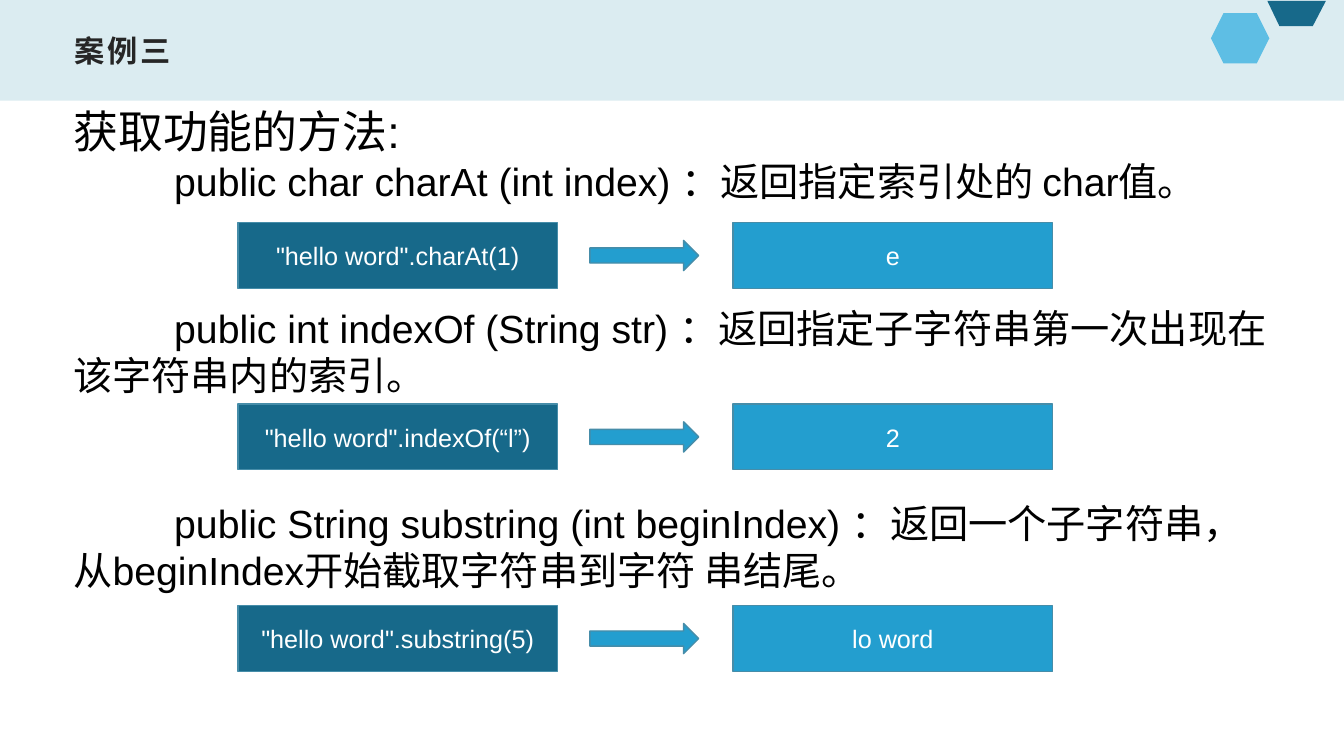
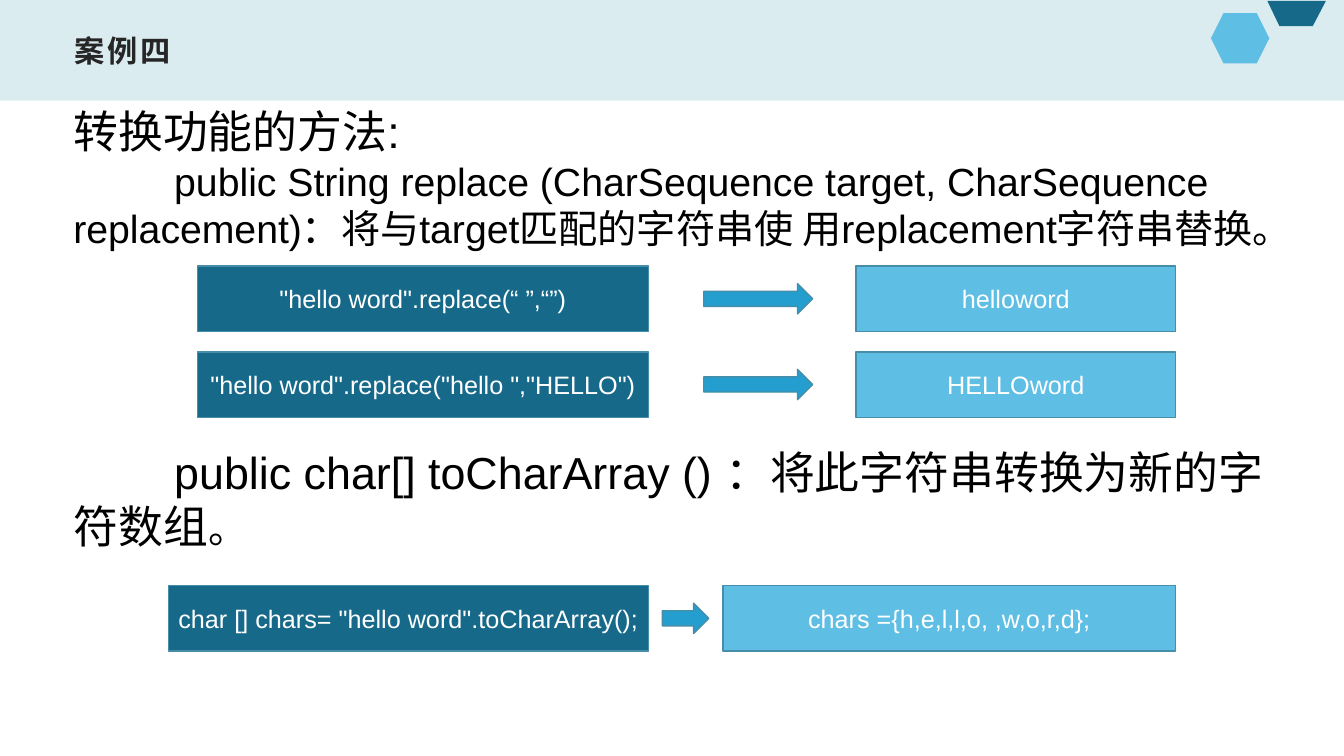
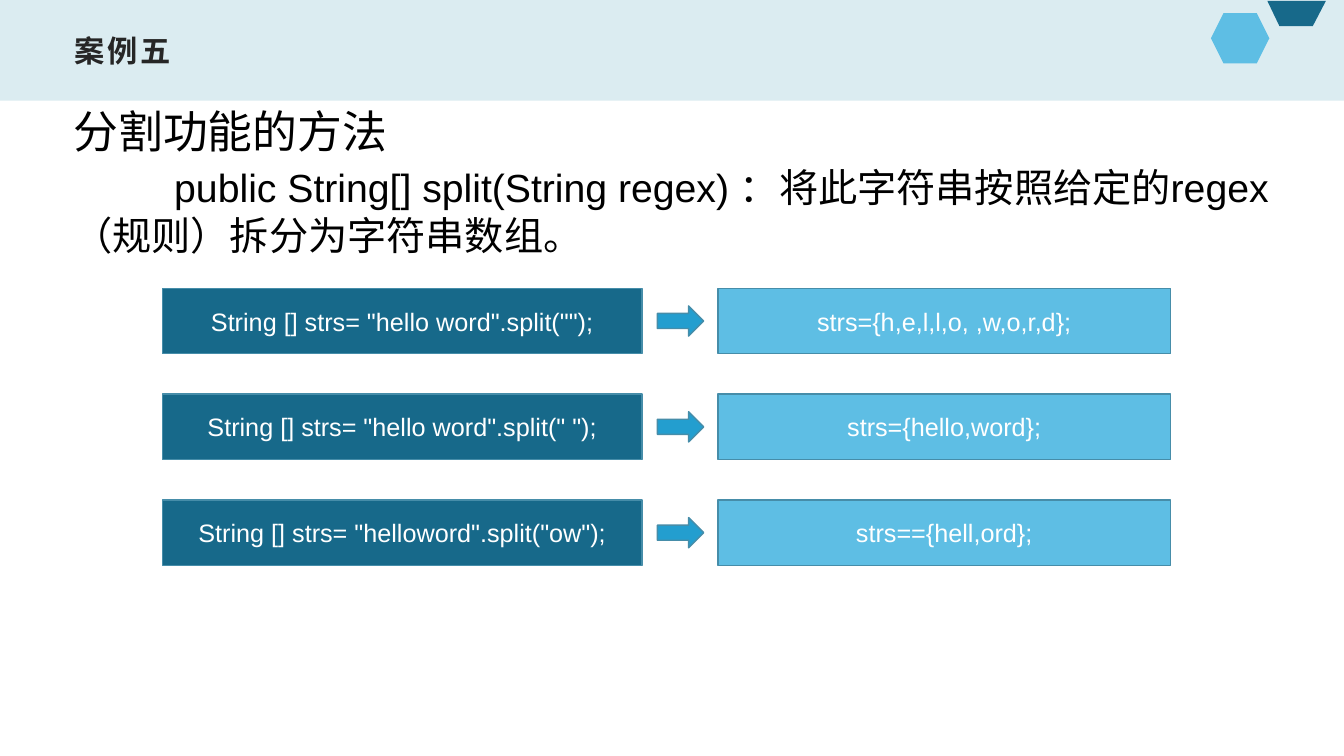
from dataclasses import dataclass
from typing import Optional

import pptx
import pptx.dml.color
import pptx.enum.lang
import pptx.enum.shapes
import pptx.enum.text
import pptx.oxml
import pptx.oxml.ns
import pptx.util
from pptx.dml.color import RGBColor
from pptx.util import Inches

# Shared look
BAND = RGBColor(0xDB, 0xEC, 0xF1)
DARK_BLUE = RGBColor(0x17, 0x69, 0x8A)
MID_BLUE = RGBColor(0x23, 0x9E, 0xCF)
LIGHT_BLUE = RGBColor(0x5E, 0xBE, 0xE4)
OUTLINE = RGBColor(0x46, 0x8D, 0xA9)
TITLE_COLOR = RGBColor(0x26, 0x26, 0x26)
BLACK = RGBColor(0, 0, 0)
WHITE = RGBColor(0xFF, 0xFF, 0xFF)
FONT = "Arial"
LARGE, MEDIUM, SMALL = 32, 28, 18
TEXT_LEFT, TEXT_WIDTH = 0.63, 12.06
BOX_HEIGHT, ARROW_HEIGHT = 0.65, 0.3
SHAPE = pptx.enum.shapes.MSO_SHAPE
ALIGN = pptx.enum.text.PP_ALIGN
ANCHOR = pptx.enum.text.MSO_ANCHOR


@dataclass(frozen=True)
class Span:
    text: str
    size: float = MEDIUM


@dataclass(frozen=True)
class Passage:
    top: float
    height: float
    paragraphs: list[list[Span]]


@dataclass(frozen=True)
class Columns:
    """Left edges and widths of the code box, arrow and result box."""
    code: tuple[float, float]
    arrow: tuple[float, float]
    result: tuple[float, float]
    result_fill: RGBColor = LIGHT_BLUE


@dataclass(frozen=True)
class Example:
    columns: Columns
    top: float
    code: str
    result: str


@dataclass(frozen=True)
class Page:
    title: str
    passages: list[Passage]
    examples: list[Example]


def write_spans(para, spans: list[Span], *, color: RGBColor = BLACK,
                bold: bool = False, spacing: Optional[float] = None,
                align=ALIGN.LEFT) -> None:
    """Fill a paragraph with formatted text; tabs stop at one inch."""
    para.alignment = align
    if spans[0].text.startswith("\t"):
        properties = para._p.get_or_add_pPr()
        stops = pptx.oxml.parse_xml(
            f'<a:tabLst {pptx.oxml.ns.nsdecls("a")}>'
            f'<a:tab pos="{Inches(1)}" algn="l"/></a:tabLst>')
        properties.append(stops)
    for span in spans:
        run = para.add_run()
        run.text = span.text
        run.font.name = FONT
        run.font.size = pptx.util.Pt(span.size)
        run.font.bold = bold
        run.font.color.rgb = color
        run.font.language_id = pptx.enum.lang.MSO_LANGUAGE_ID.SIMPLIFIED_CHINESE
        if spacing is not None:
            run.font._element.set("spc", str(round(spacing * 100)))


def paint(shape, fill: RGBColor, line: Optional[RGBColor] = None) -> None:
    shape.shadow.inherit = False
    shape.fill.solid()
    shape.fill.fore_color.rgb = fill
    if line is None:
        shape.line.fill.background()
    else:
        shape.line.color.rgb = line
        shape.line.width = pptx.util.Pt(1)


def add_preset(slide, kind, left: float, top: float, width: float, height: float,
               fill: RGBColor, line: Optional[RGBColor] = None):
    shape = slide.shapes.add_shape(
        kind, Inches(left), Inches(top), Inches(width), Inches(height))
    paint(shape, fill, line)
    return shape


def decorate_layout(slide, layout) -> None:
    """Build the header band and its ornaments, then hand them to the layout."""
    band = add_preset(slide, SHAPE.RECTANGLE, 0, 0, 13.33, 1, BAND)
    hexagon = add_preset(slide, SHAPE.HEXAGON, 12.01, 0.13, 0.58, 0.5, LIGHT_BLUE)
    builder = slide.shapes.build_freeform(Inches(13.15), Inches(0.01))
    corners = [(13.02, 0.26), (12.69, 0.26), (12.57, 0.01)]
    builder.add_line_segments([(Inches(x), Inches(y)) for x, y in corners])
    trapezoid = builder.convert_to_shape()
    paint(trapezoid, DARK_BLUE)
    for index, shape in enumerate((band, hexagon, trapezoid), start=2):
        layout.shapes.element.insert(index, shape.element)


def add_title(slide, text: str) -> None:
    title = slide.shapes.title
    title.left, title.top = Inches(TEXT_LEFT), Inches(0.26)
    title.width, title.height = Inches(12.07), Inches(0.48)
    frame = title.text_frame
    frame.vertical_anchor = ANCHOR.MIDDLE
    frame.auto_size = pptx.enum.text.MSO_AUTO_SIZE.NONE
    frame.margin_left, frame.margin_right = Inches(0.11), Inches(0.08)
    frame.margin_top = frame.margin_bottom = Inches(0.04)
    write_spans(frame.paragraphs[0], [Span(text, 21.6)],
                color=TITLE_COLOR, bold=True, spacing=2)


def add_passage(slide, passage: Passage) -> None:
    box = slide.shapes.add_textbox(Inches(TEXT_LEFT), Inches(passage.top),
                                   Inches(TEXT_WIDTH), Inches(passage.height))
    frame = box.text_frame
    frame.word_wrap = True
    frame.auto_size = pptx.enum.text.MSO_AUTO_SIZE.SHAPE_TO_FIT_TEXT
    for index, spans in enumerate(passage.paragraphs):
        para = frame.add_paragraph() if index else frame.paragraphs[0]
        write_spans(para, spans)


def add_example(slide, example: Example) -> None:
    """Draw a code box, an arrow and the result box in one row."""
    columns = example.columns
    boxes = [(columns.code, example.code, DARK_BLUE),
             (columns.result, example.result, columns.result_fill)]
    for (left, width), text, fill in boxes:
        box = add_preset(slide, SHAPE.RECTANGLE, left, example.top,
                         width, BOX_HEIGHT, fill, OUTLINE)
        frame = box.text_frame
        frame.word_wrap = True
        frame.vertical_anchor = ANCHOR.MIDDLE
        frame.margin_left = frame.margin_right = Inches(0.05)
        write_spans(frame.paragraphs[0], [Span(text, SMALL)],
                    color=WHITE, align=ALIGN.CENTER)
    left, width = columns.arrow
    arrow_top = example.top + (BOX_HEIGHT - ARROW_HEIGHT) / 2
    add_preset(slide, SHAPE.RIGHT_ARROW, left, arrow_top,
               width, ARROW_HEIGHT, MID_BLUE, OUTLINE)


# Column sets of the example rows
GETTER = Columns((2.36, 3.17), (5.85, 1.08), (7.27, 3.17), MID_BLUE)
REPLACE = Columns((1.96, 4.47), (6.98, 1.08), (8.49, 3.17))
TO_ARRAY = Columns((1.67, 4.76), (6.57, 0.46), (7.17, 4.49))
SPLIT = Columns((1.61, 4.76), (6.52, 0.46), (7.12, 4.49))
SPLIT_TOP, SPLIT_STEP = 2.86, 1.05
SPLIT_ROWS = [
    ('String [] strs= "hello word".split("");', "strs={h,e,l,l,o, ,w,o,r,d};"),
    ('String [] strs= "hello word".split(" ");', "strs={hello,word};"),
    ('String [] strs= "helloword".split("ow");', "strs=={hell,ord};"),
]

PAGES = [
    Page(
        "案例三",
        [
            Passage(0.98, 1.11, [
                [Span("获取功能的方法:", LARGE)],
                [Span("\tpublic char charAt (int index) ：返回指定索引处的 char值。")],
            ]),
            Passage(2.97, 1.04, [[Span(
                "\tpublic int indexOf (String str) ："
                "返回指定子字符串第一次出现在该字符串内的索引。")]]),
            Passage(4.9, 1.04, [[Span(
                "\tpublic String substring (int beginIndex) ："
                "返回一个子字符串，从beginIndex开始截取字符串到字符 串结尾。")]]),
        ],
        [
            Example(GETTER, 2.21, '"hello word".charAt(1)', "e"),
            Example(GETTER, 4.01, '"hello word".indexOf(“l”)', "2"),
            Example(GETTER, 6.01, '"hello word".substring(5)', "lo word"),
        ],
    ),
    Page(
        "案例四",
        [
            Passage(0.98, 1.58, [
                [Span("转换功能的方法:", LARGE)],
                [Span("\tpublic String replace (CharSequence target, "
                      "CharSequence replacement)：将与target匹配的字符串使 "
                      "用replacement字符串替换。")],
            ]),
            Passage(4.36, 1.18, [[
                Span("\tpublic char[] toCharArray () ："
                     "将此字符串转换为新的字符数组", LARGE),
                Span("。"),
            ]]),
        ],
        [
            Example(REPLACE, 2.64, '"hello word".replace(“ ”,“”)', "helloword"),
            Example(REPLACE, 3.49, '"hello word".replace("hello ","HELLO")',
                    "HELLOword"),
            Example(TO_ARRAY, 5.81, 'char [] chars= "hello word".toCharArray();',
                    "chars ={h,e,l,l,o, ,w,o,r,d};"),
        ],
    ),
    Page(
        "案例五",
        [
            Passage(0.98, 1.65, [
                [Span("分割功能的方法", LARGE)],
                [Span("\t", LARGE),
                 Span("public String[] split(String regex) ："
                      "将此字符串按照给定的regex（规则）拆分为字符串数组。")],
            ]),
        ],
        [Example(SPLIT, SPLIT_TOP + row * SPLIT_STEP, code, result)
         for row, (code, result) in enumerate(SPLIT_ROWS)],
    ),
]


def main() -> None:
    deck = pptx.Presentation()
    deck.slide_width, deck.slide_height = Inches(13.33), Inches(7.5)
    layout = deck.slide_layouts.get_by_name("Title Only")
    for number, page in enumerate(PAGES):
        slide = deck.slides.add_slide(layout)
        if number == 0:
            decorate_layout(slide, layout)
        add_title(slide, page.title)
        for passage in page.passages:
            add_passage(slide, passage)
        for example in page.examples:
            add_example(slide, example)
    deck.save("out.pptx")


if __name__ == "__main__":
    main()
